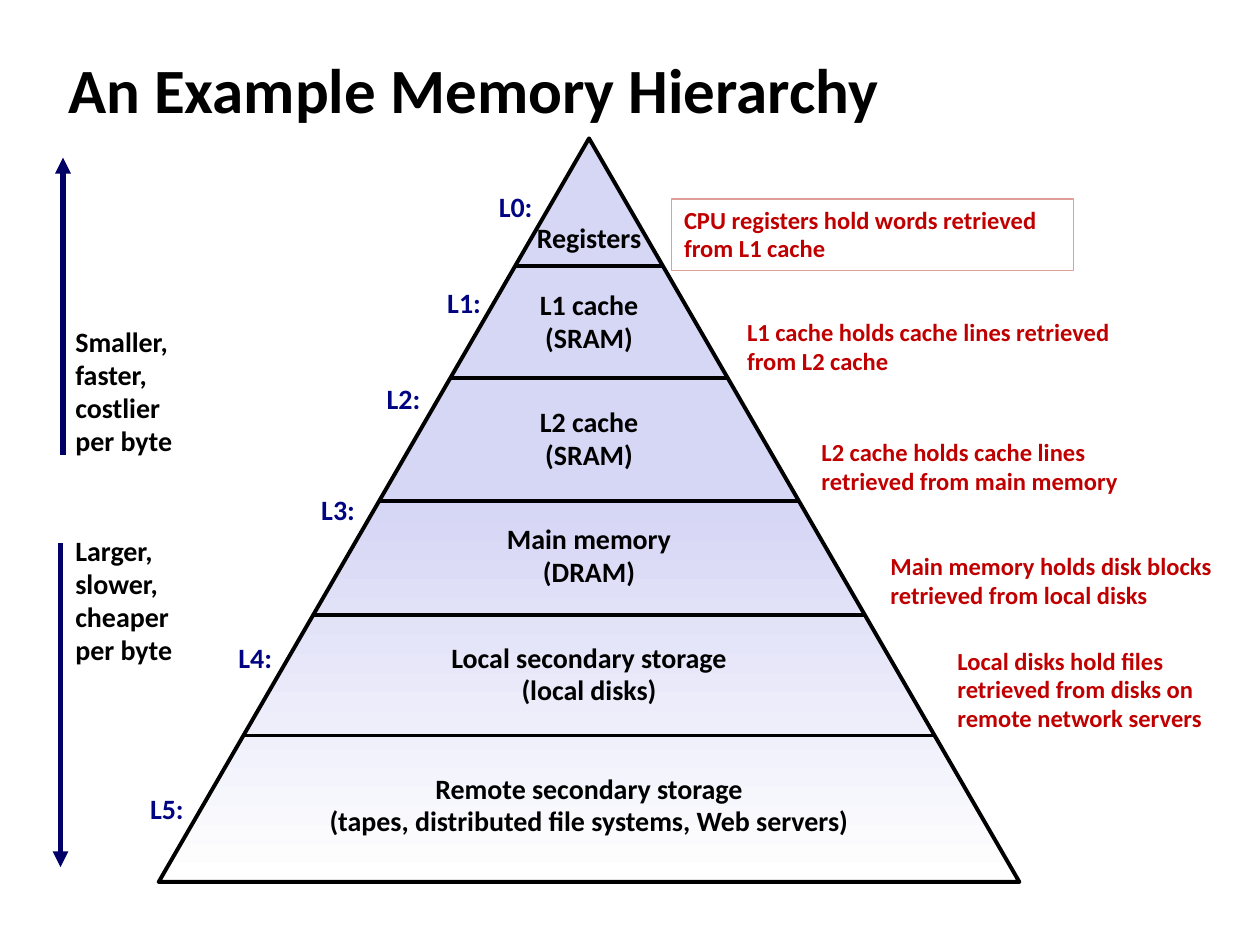
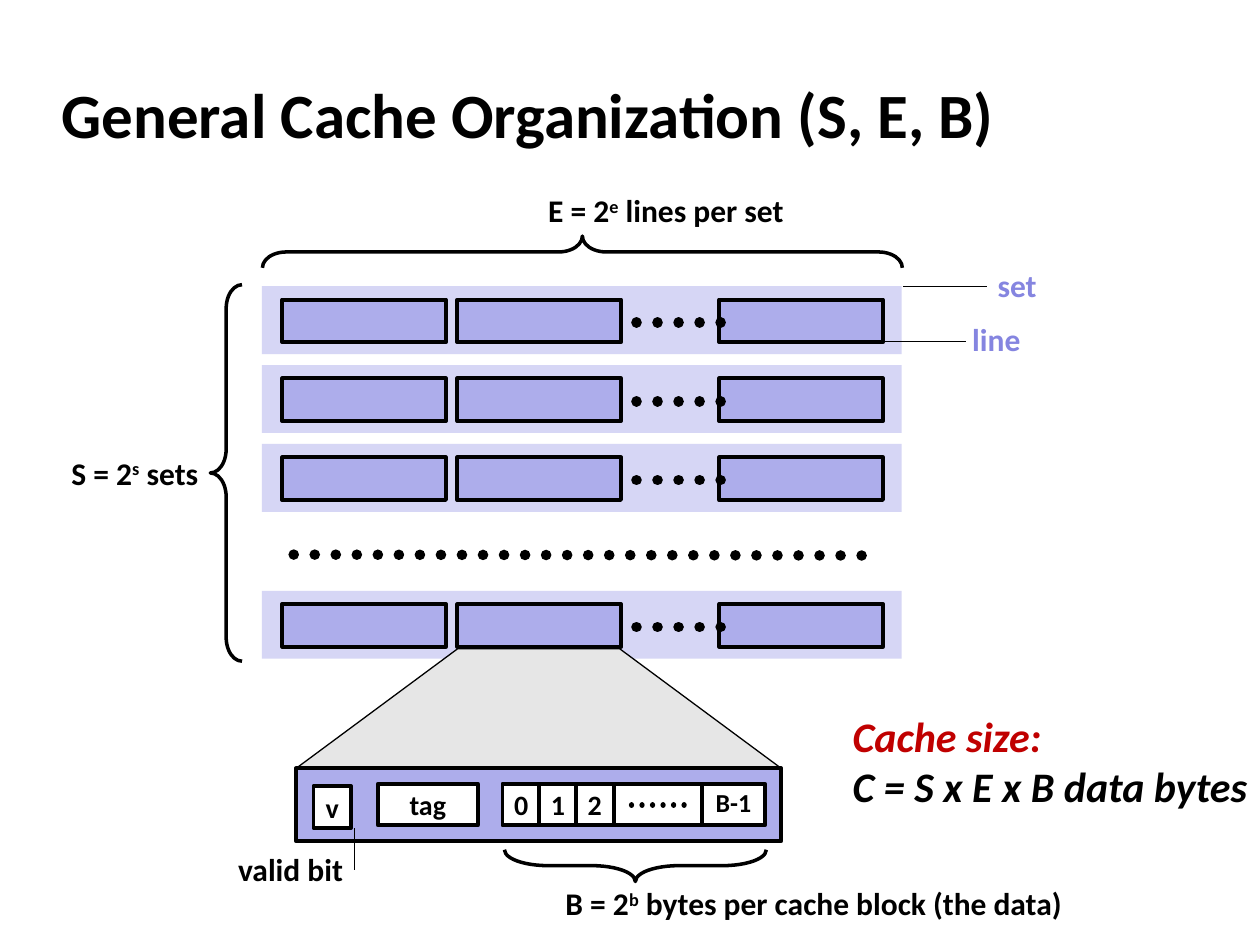
from lxml import etree
from pptx import Presentation
from pptx import util as u
from pptx.dml.color import RGBColor
from pptx.enum import dml, shapes, text
from pptx.oxml.ns import qn

BLACK = RGBColor(0x00, 0x00, 0x00)
WHITE = RGBColor(0xFF, 0xFF, 0xFF)
NAVY = RGBColor(0x00, 0x00, 0x66)
LEVEL_BLUE = RGBColor(0x00, 0x04, 0x82)
RED = RGBColor(0xC0, 0x00, 0x00)
NOTE_EDGE = RGBColor(0xDF, 0x9F, 0x98)
LAVENDER = RGBColor(0xD6, 0xD6, 0xF5)
PERIWINKLE = RGBColor(0xAD, 0xAD, 0xEB)
VIOLET = RGBColor(0x85, 0x85, 0xE0)
GREY = RGBColor(0xE6, 0xE6, 0xE6)

FONT = "Calibri"
SHAPE = shapes.MSO_SHAPE
LEFT, CENTER = text.PP_ALIGN.LEFT, text.PP_ALIGN.CENTER
TOP, MIDDLE = text.MSO_ANCHOR.TOP, text.MSO_ANCHOR.MIDDLE


def lengths(values):
    return [u.Cm(value) for value in values]


class SlideBuilder:
    """Draws styled elements on the current slide; boxes are (left, top, width, height) in cm."""

    def __init__(self, presentation):
        self.presentation = presentation
        self.slide = None
        self.shapes = None

    def start(self, title, box):
        self.slide = self.presentation.slides.add_slide(self.presentation.slide_layouts[5])
        self.shapes = self.slide.shapes
        placeholder = self.shapes.title
        placeholder.left, placeholder.top, placeholder.width, placeholder.height = lengths(box)
        self.set_text(placeholder, [title], 36, wrap=True)

    def group(self):
        """Send the next elements to a new group."""
        self.shapes = self.slide.shapes.add_group_shape().shapes

    def ungroup(self):
        self.shapes = self.slide.shapes

    def set_text(self, shape, lines, size, color=BLACK, align=LEFT, anchor=MIDDLE,
                 wrap=False, spacing=None, italic=None):
        """Add one paragraph per line; a line is a string or a (base, superscript, rest) tuple."""
        frame = shape.text_frame
        frame.word_wrap = wrap
        frame.auto_size = text.MSO_AUTO_SIZE.NONE
        frame.vertical_anchor = anchor
        for index, line in enumerate(lines):
            paragraph = frame.add_paragraph() if index else frame.paragraphs[0]
            paragraph.alignment = align
            paragraph.line_spacing = spacing
            parts = (line,) if isinstance(line, str) else line
            for position, part in enumerate(parts):
                run = paragraph.add_run()
                run.text = part
                run.font.name, run.font.size = FONT, u.Pt(size)
                run.font.bold, run.font.italic = True, italic
                run.font.color.rgb = color
                if position == 1:
                    run.font._element.set("baseline", "30000")

    def label(self, lines, box, size, **style):
        shape = self.shapes.add_textbox(*lengths(box))
        self.set_text(shape, lines, size, **style)
        shape.text_frame.auto_size = text.MSO_AUTO_SIZE.SHAPE_TO_FIT_TEXT
        return shape

    def figure(self, kind, box, fill=None, line=BLACK, weight=2.25):
        shape = self.shapes.add_shape(kind, *lengths(box))
        shape.shadow.inherit = False
        if fill is None:
            shape.fill.background()
        else:
            shape.fill.solid()
            shape.fill.fore_color.rgb = fill
        if line is None:
            shape.line.fill.background()
        else:
            shape.line.color.rgb = line
            shape.line.width = u.Pt(weight)
        return shape

    def cell(self, caption, box, size=16, spacing=None):
        shape = self.figure(SHAPE.RECTANGLE, box, WHITE)
        if caption:
            self.set_text(shape, [caption], size, align=CENTER, spacing=spacing)

    def brace(self, box, curve, rotation=0):
        """Draw a brace that fills the box as seen after rotation."""
        left, top, width, height = box
        if rotation:
            shift = (width - height) / 2
            box = (left + shift, top - shift, height, width)
        shape = self.figure(SHAPE.LEFT_BRACE, box, weight=2)
        shape.adjustments[0] = curve
        shape.rotation = rotation

    def line(self, start, end, weight=0.75, color=BLACK, dotted=False, arrow=False):
        connector = self.shapes.add_connector(
            shapes.MSO_CONNECTOR.STRAIGHT, *lengths(start + end))
        connector.line.color.rgb = color
        connector.line.width = u.Pt(weight)
        properties = connector._element.spPr
        outline = properties.find(qn("a:ln"))
        if dotted:
            connector.line.dash_style = dml.MSO_LINE.ROUND_DOT
            outline.set("cap", "rnd")
        if arrow:
            etree.SubElement(outline, qn("a:tailEnd"), type="triangle")
        etree.SubElement(properties, qn("a:effectLst"))


def draw_memory_hierarchy(builder):
    builder.start("An Example Memory Hierarchy", (1.12, 0.69, 24.21, 2.18))

    left, apex, width, height = 3.2, 2.79, 17.35, 14.99
    middle = left + width / 2
    pyramid = builder.figure(SHAPE.ISOSCELES_TRIANGLE, (left, apex, width, height), LAVENDER)
    pyramid.fill.gradient()
    pyramid.fill.gradient_angle = 270
    for stop, position, color in zip(pyramid.fill.gradient_stops, (0.49, 1), (LAVENDER, WHITE)):
        stop.position, stop.color.rgb = position, color

    for y in (5.36, 7.62, 10.1, 12.4, 14.83):
        half = (y - apex) / height * width / 2
        builder.line((middle - half, y), (middle + half, y), 2)

    # Name lines, centre height and width of each level, then its label's left and top
    levels = [
        (["Registers"], 4.81, 2.64, 9.8, 3.71),
        (["L1 cache", "(SRAM)"], 6.49, 2.51, 8.76, 5.66),
        (["L2 cache", "(SRAM)"], 8.85, 2.54, 7.54, 7.59),
        (["Main memory", "(DRAM)"], 11.21, 3.81, 6.22, 9.83),
        (["Local secondary storage", "(local disks)"], 13.6, 6.12, 4.55, 12.8),
        (["Remote secondary storage", "(tapes, distributed file systems, Web servers)"],
         16.24, 11.1, 2.77, 15.85),
    ]
    for number, (lines, y, span, label_left, label_top) in enumerate(levels):
        tall = 0.94 if len(lines) == 1 else 1.6
        builder.label(lines, (middle - span / 2, y - tall / 2, span, tall), 16,
                      align=CENTER, spacing=0.98)
        builder.label([f"L{number}:"], (label_left, label_top, 1.19, 0.94), 16,
                      color=LEVEL_BLUE, align=CENTER, spacing=0.98)

    notes = [
        ("CPU registers hold words retrieved from L1 cache", (13.54, 4.01, 8.1, 1.45)),
        ("L1 cache holds cache lines retrieved from L2 cache", (14.81, 6.27, 7.87, 1.45)),
        ("L2 cache holds cache lines retrieved from main memory", (16.31, 8.69, 7.32, 1.45)),
        ("Main memory holds disk blocks retrieved from local disks", (17.7, 11, 7.62, 1.45)),
        ("Local disks hold files retrieved from disks on remote network servers",
         (19.05, 12.9, 5.74, 2.03)),
    ]
    note_shapes = [builder.label([note], box, 14, color=RED, wrap=True, spacing=0.98)
                   for note, box in notes]
    note_shapes[0].line.color.rgb = NOTE_EDGE
    note_shapes[0].line.width = u.Pt(0.75)

    trends = [
        (["Smaller,", "faster,", "costlier", "per byte"], 6.43, (1.27, 9.17), (1.27, 3.18)),
        (["Larger,", "slower,", "cheaper", "per byte"], 10.64, (1.22, 10.95), (1.22, 17.48)),
    ]
    for lines, top, start, end in trends:
        builder.label(lines, (1.27, top, 2.5, 2.95), 16, spacing=0.98)
        builder.line(start, end, 3, NAVY, arrow=True)


def draw_cache_set(builder, top):
    builder.group()
    builder.figure(SHAPE.RECTANGLE, (5.28, top, 12.9, 1.37), LAVENDER, line=None)
    for left in (5.69, 9.22, 14.5):
        builder.figure(SHAPE.RECTANGLE, (left, top + 0.27, 3.3, 0.86), PERIWINKLE)
    builder.line((12.83, top + 0.73), (14.53, top + 0.73), 6, dotted=True)
    builder.ungroup()


def draw_cache_organization(builder):
    builder.start("General Cache Organization (S, E, B)", (0.99, 1.22, 21.08, 2.11))

    first_top, step = 5.77, 1.59
    for top in [first_top + step * row for row in range(3)] + [11.91]:
        draw_cache_set(builder, top)
    builder.line((5.92, 11.18), (17.78, 11.2), 6, dotted=True)

    builder.brace((5.29, 4.76, 12.9, 0.64), 0.75, rotation=90)
    builder.brace((4.24, 5.74, 0.64, 7.59), 0.75)
    builder.line((18.2, first_top), (19.89, first_top))
    builder.line((17.78, 6.88), (19.48, 6.88))

    zoom = builder.figure(SHAPE.TRAPEZOID, (5.97, 13.08, 9.78, 2.41), GREY, weight=0.75)
    zoom.adjustments[0] = 1.351
    builder.figure(SHAPE.RECTANGLE, (5.97, 15.49, 9.78, 1.47), PERIWINKLE)
    cell_top, cell_height = 15.8, 0.84
    builder.cell("v", (6.32, 15.85, 0.76, cell_height))
    builder.cell("tag", (7.62, cell_top, 2.01, cell_height))
    for byte in range(3):
        builder.cell(str(byte), (10.13 + 0.74 * byte, cell_top, 0.76, cell_height))
    builder.cell("B-1", (14.15, cell_top, 1.27, cell_height), 14.8, spacing=0.9)
    builder.cell("", (12.37, cell_top, 1.78, cell_height))
    builder.line((12.73, 16.23), (14, 16.23), 3, dotted=True)
    builder.brace((10.17, 17.13, 5.28, 0.64), 1.37, rotation=270)
    builder.line((7.14, 17.53), (7.14, 16.69))

    labels = [
        (("E = 2", "e", " lines per set"), (10.8, 3.73, 5.44, 1.02), BLACK),
        (("S = 2", "s", " sets"), (1.19, 9.02, 3.12, 1.02), BLACK),
        (("B = 2", "b", " bytes per cache block (the data)"), (11.15, 17.7, 10.9, 1.02), BLACK),
        ("valid bit", (4.55, 17.02, 2.64, 1.02), BLACK),
        ("set", (19.86, 5.23, 1.3, 1.02), VIOLET),
        ("line", (19.35, 6.32, 1.5, 1.02), VIOLET),
    ]
    for line, box, color in labels:
        builder.label([line], box, 18, color=color, anchor=TOP)

    formula = builder.label(["Cache size:", "C = S x E x B data bytes"],
                            (16.94, 14.2, 8.76, 2.31), 24, anchor=TOP, italic=True)
    formula.text_frame.paragraphs[0].runs[0].font.color.rgb = RED


def main():
    presentation = Presentation()
    presentation.slide_width, presentation.slide_height = u.Cm(25.4), u.Cm(19.05)
    builder = SlideBuilder(presentation)
    draw_memory_hierarchy(builder)
    draw_cache_organization(builder)
    presentation.save("out.pptx")


if __name__ == "__main__":
    main()
